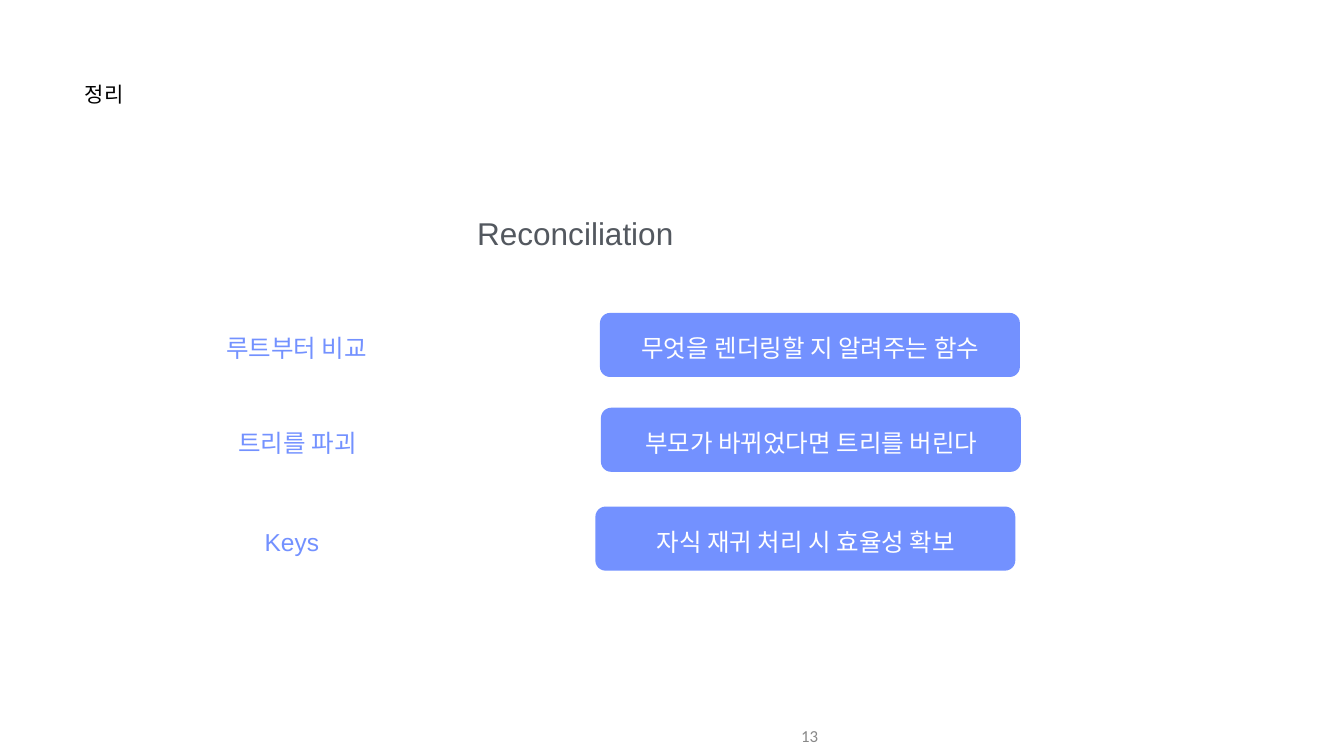
"""Build the summary slide on reconciliation."""
from dataclasses import dataclass

from pptx import Presentation
from pptx.dml.color import RGBColor
from pptx.enum.shapes import MSO_SHAPE
from pptx.enum.text import MSO_ANCHOR, MSO_AUTO_SIZE, PP_ALIGN
from pptx.shapes.autoshape import Shape
from pptx.slide import Slide
from pptx.util import Cm, Pt

LEFT, CENTER, RIGHT = PP_ALIGN.LEFT, PP_ALIGN.CENTER, PP_ALIGN.RIGHT
TOP, MIDDLE = MSO_ANCHOR.TOP, MSO_ANCHOR.MIDDLE
NO_FIT = MSO_AUTO_SIZE.NONE
ROUND = MSO_SHAPE.ROUNDED_RECTANGLE


@dataclass(frozen=True)
class Style:
    size: float
    color: str
    align: int = CENTER
    anchor: int = MIDDLE
    font: str = "Arial"
    pad: tuple[float, float, float, float] = (0.03, 0.03, 0.03, 0.03)


@dataclass(frozen=True)
class Theme:
    fill: str = "7391FF"
    title: Style = Style(30, "000000", LEFT, TOP)
    head: Style = Style(45, "53585F", CENTER, TOP)
    page: Style = Style(24, "888888", RIGHT, MIDDLE, "Calibri",
                        (0.25, 0.13, 0.25, 0.13))
    label: Style = Style(35, "7391FF", pad=(0.03, 0.31, 0.03, 0.03))
    note: Style = Style(35, "FFFFFF", pad=(0.08, 0.31, 0.03, 0.03))


@dataclass(frozen=True)
class Area:
    left: float
    top: float
    width: float
    height: float

    def spans(self) -> tuple[Cm, Cm, Cm, Cm]:
        return Cm(self.left), Cm(self.top), Cm(self.width), Cm(self.height)


@dataclass(frozen=True)
class Row:
    label: str
    note: str
    left: float
    top: float


THEME = Theme()
LABEL_SHIFT, LABEL_WIDTH = 23.23, 15.88
NOTE_WIDTH, ROW_HEIGHT = 21.16, 3.23
ROWS = (
    Row("루트부터 비교", "무엇을 렌더링할 지 알려주는 함수", 30.23, 15.77),
    Row("트리를 파괴", "부모가 바뀌었다면 트리를 버린다", 30.28, 20.55),
    Row("Keys", "자식 재귀 처리 시 효율성 확보", 30.0, 25.53),
)


def apply(target: object, values: dict[str, object]) -> None:
    for name, value in values.items():
        setattr(target, name, value)


def write(shape: Shape, text: str, style: Style) -> None:
    frame = shape.text_frame
    left, top, right, bottom = map(Cm, style.pad)
    apply(frame, {"word_wrap": True, "auto_size": NO_FIT,
                  "vertical_anchor": style.anchor,
                  "margin_left": left, "margin_top": top,
                  "margin_right": right, "margin_bottom": bottom})
    line = frame.paragraphs[0]
    line.alignment = style.align
    run = line.add_run()
    run.text = text
    apply(run.font, {"name": style.font, "size": Pt(style.size)})
    run.font.color.rgb = RGBColor.from_string(style.color)


def add_text(slide: Slide, area: Area, text: str, style: Style) -> None:
    write(slide.shapes.add_textbox(*area.spans()), text, style)


def add_title(slide: Slide, area: Area, text: str) -> None:
    title = slide.shapes.title
    apply(title, dict(zip(("left", "top", "width", "height"), area.spans())))
    write(title, text, THEME.title)


def add_row(slide: Slide, row: Row) -> None:
    area = Area(row.left, row.top, NOTE_WIDTH, ROW_HEIGHT)
    box = slide.shapes.add_shape(ROUND, *area.spans())
    box.adjustments[0] = 0.16
    box.shadow.inherit = False
    box.fill.solid()
    box.fill.fore_color.rgb = RGBColor.from_string(THEME.fill)
    box.line.fill.background()
    write(box, row.note, THEME.note)
    side = Area(row.left - LABEL_SHIFT, row.top, LABEL_WIDTH, ROW_HEIGHT)
    add_text(slide, side, row.label, THEME.label)


def main() -> None:
    deck = Presentation()
    apply(deck, {"slide_width": Cm(67.72), "slide_height": Cm(38.1)})
    slide = deck.slides.add_slide(deck.slide_layouts.get_by_name("Title Only"))
    add_title(slide, Area(4.24, 4.06, 12.34, 3), "정리")
    add_text(slide, Area(6.71, 10.77, 44.55, 2), "Reconciliation", THEME.head)
    add_text(slide, Area(26.24, 36.09, 15.24, 2), "13", THEME.page)
    for row in ROWS:
        add_row(slide, row)
    deck.save("out.pptx")


if __name__ == "__main__":
    main()
